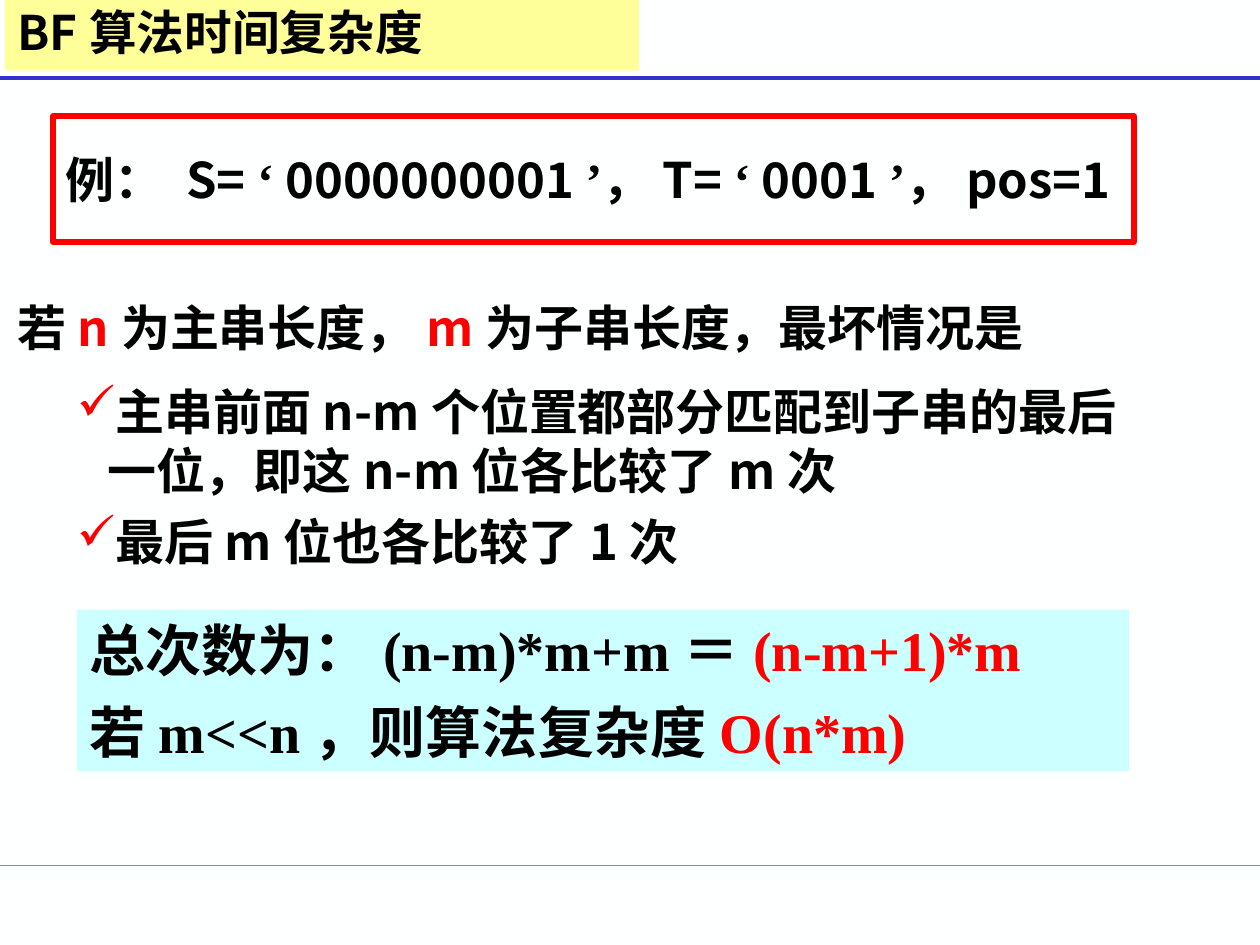
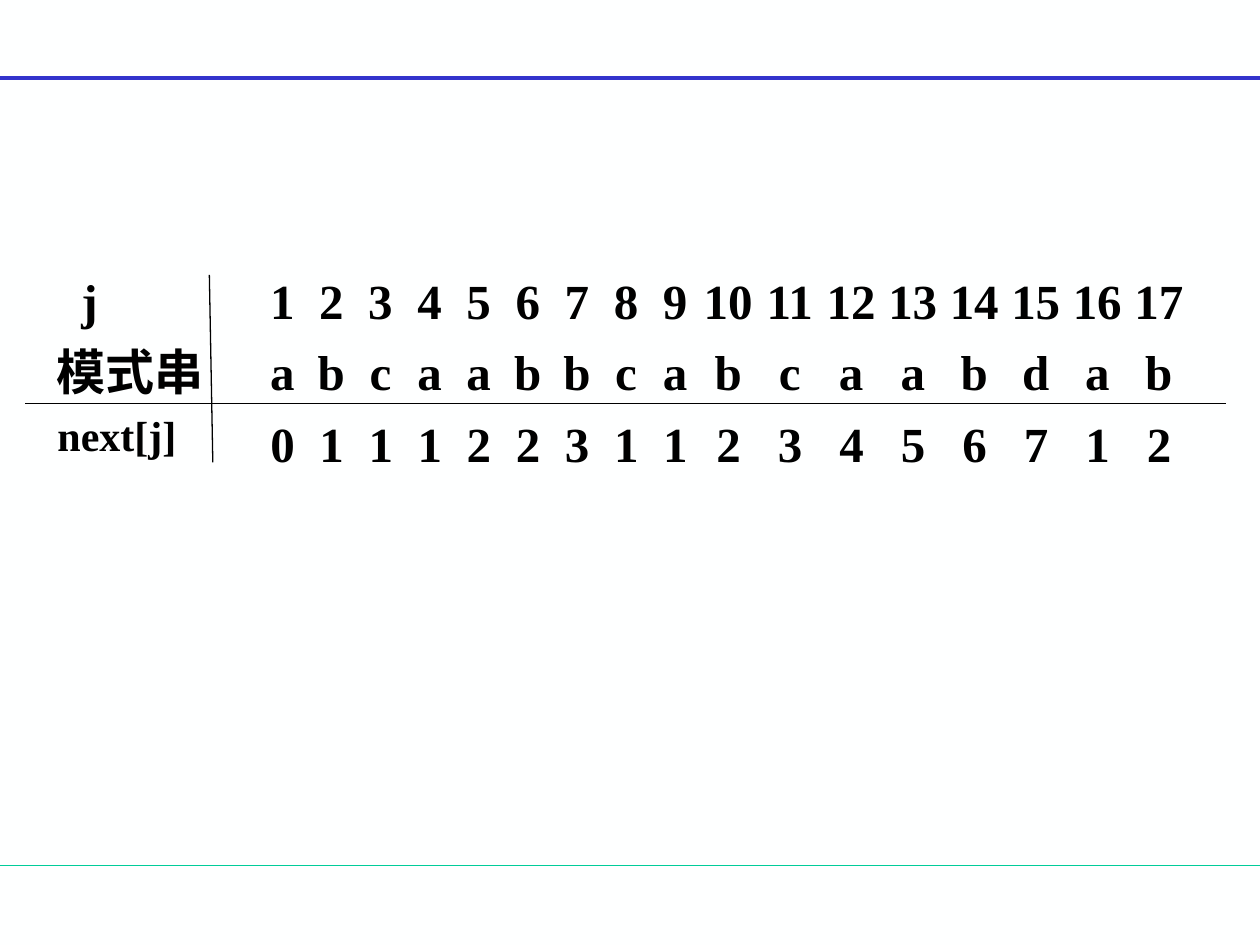
from pptx import Presentation
from pptx.dml.color import RGBColor
from pptx.enum.shapes import MSO_CONNECTOR, MSO_SHAPE
from pptx.enum.text import MSO_ANCHOR, MSO_AUTO_SIZE, PP_ALIGN
from pptx.oxml.ns import qn
from pptx.oxml.xmlchemy import OxmlElement
from pptx.util import Cm, Pt

BLACK, RED, BLUE, GREEN = "000000", "FF0000", "3333CC", "00CC99"
YELLOW, CYAN, PAPER = "FFFF99", "CCFFFF", "FEFFFF"
SANS, SERIF = "Noto Sans CJK SC", "Times New Roman"
WIDTH, HEIGHT = 25.4, 19.05
TITLE_ONLY, BLANK = 5, 6


def rgb(color):
    return RGBColor.from_string(color)


def child(parent, tag, **attrs):
    el = OxmlElement(tag)
    for name, value in attrs.items():
        el.set(name, str(value))
    parent.append(el)
    return el


def red(text):
    return text, RED, None


def serif(text):
    return text, BLACK, SERIF


class Deck:
    """Holds the shared style and the slide being filled."""

    def __init__(self):
        self.prs = Presentation()
        self.prs.slide_width, self.prs.slide_height = Cm(WIDTH), Cm(HEIGHT)
        self.slide = None
        fill = self.prs.slide_master.background.fill
        fill.solid()
        fill.fore_color.rgb = rgb(PAPER)

    def new_slide(self, layout):
        self.slide = self.prs.slides.add_slide(self.prs.slide_layouts[layout])

    def rules(self):
        tree = self.prs.slide_master.shapes.element
        for y, color, weight in ((17.45, GREEN, 0.75), (1.57, BLUE, 2.25)):
            tree.append(self.line(0, y, WIDTH, y, color, weight).element)

    def line(self, x1, y1, x2, y2, color=BLACK, weight=0.75):
        cn = self.slide.shapes.add_connector(
            MSO_CONNECTOR.STRAIGHT, Cm(x1), Cm(y1), Cm(x2), Cm(y2))
        cn.line.color.rgb = rgb(color)
        cn.line.width = Pt(weight)
        child(cn.element.spPr, "a:effectLst")
        return cn

    def title(self, text, x, y, w, h):
        sp = self.slide.shapes.title
        sp.left, sp.top, sp.width, sp.height = Cm(x), Cm(y), Cm(w), Cm(h)
        sp.fill.solid()
        sp.fill.fore_color.rgb = rgb(YELLOW)
        self.put_text(sp, [[text]], 27.2, anchor=MSO_ANCHOR.MIDDLE)
        sp.text_frame.paragraphs[0].line_spacing = 0.9

    def panel(self, x, y, w, h, paragraphs, size, fill=None, line=None, **style):
        sp = self.slide.shapes.add_shape(
            MSO_SHAPE.RECTANGLE, Cm(x), Cm(y), Cm(w), Cm(h))
        sp.shadow.inherit = False
        if fill:
            sp.fill.solid()
            sp.fill.fore_color.rgb = rgb(fill)
        else:
            sp.fill.background()
        if line:
            sp.line.color.rgb = rgb(line)
            sp.line.width = Pt(3)
        else:
            sp.line.fill.background()
        self.put_text(sp, paragraphs, size, **style)

    def text(self, x, y, w, h, paragraphs, size=28, **style):
        sp = self.slide.shapes.add_textbox(Cm(x), Cm(y), Cm(w), Cm(h))
        self.put_text(sp, paragraphs, size, **style)

    def put_text(self, sp, paragraphs, size, font=SANS, anchor=MSO_ANCHOR.TOP,
                 gap=7, bullet=None, tabs=(), inset=True, wrap=True):
        tf = sp.text_frame
        tf.word_wrap, tf.auto_size = wrap, MSO_AUTO_SIZE.NONE
        tf.vertical_anchor = anchor
        if not inset:
            tf.margin_left = tf.margin_right = tf.margin_top = tf.margin_bottom = 0
        for i, runs in enumerate(paragraphs):
            p = tf.add_paragraph() if i else tf.paragraphs[0]
            p.alignment = PP_ALIGN.LEFT
            if i:
                p.space_before = Pt(gap)
            pPr = p._p.get_or_add_pPr()
            if bullet:
                self.bullet(pPr, bullet)
            if tabs:
                tab_list = child(pPr, "a:tabLst")
                for pos, algn in tabs:
                    child(tab_list, "a:tab", pos=Cm(pos), algn=algn)
            p.font.size, p.font.bold = Pt(size), True
            p.font.color.rgb, p.font.name = rgb(BLACK), font
            child(pPr.find(qn("a:defRPr")), "a:ea", typeface=SANS)
            for item in runs:
                r = p.add_run()
                if isinstance(item, str):
                    r.text = item
                    continue
                r.text, color, name = item
                r.font.color.rgb = rgb(color)
                if name:
                    r.font.name = name
                    child(r._r.get_or_add_rPr(), "a:ea", typeface=name)

    def bullet(self, pPr, char):
        pPr.set("marL", str(Cm(0.61)))
        pPr.set("indent", str(-Cm(0.61)))
        child(child(pPr, "a:buClr"), "a:srgbClr", val=RED)
        child(pPr, "a:buChar", char=char)


def complexity_slide(deck):
    deck.new_slide(TITLE_ONLY)
    deck.rules()
    deck.title("BF算法时间复杂度", 0.1, 0, 12.78, 1.42)
    deck.panel(1.07, 2.34, 21.79, 2.54, [[
        "例： S=", serif("‘"), "0000000001", serif("’"), "，T=",
        serif("‘"), "0001", serif("’"), "，pos=1"]],
        28, line=RED, anchor=MSO_ANCHOR.MIDDLE)
    deck.text(0.1, 5.87, 23.42, 1.55, [[
        "若", red("n"), "为主串长度，", red("m"), "为子串长度，最坏情况是"]])
    deck.text(1.3, 7.57, 22.23, 4.06, [
        ["主串前面n-m个位置都部分匹配到子串的最后一位，即这n-m位各比较了m次"],
        ["最后m位也各比较了1次"]], bullet="✓")
    deck.panel(1.55, 12.29, 21.21, 3.25, [
        ["总次数为：(n-m)*m+m＝", red("(n-m+1)*m")],
        ["若m<<n，则算法复杂度", red("O(n*m)")]],
        32, fill=CYAN, font=SERIF, gap=8)


def next_slide(deck):
    deck.new_slide(BLANK)
    pattern, next_values = "abcaabbcabcaabdab", "01112231123456712"
    centers = [5.69 + 0.99 * k for k in range(9)]
    centers += [14.68 + 1.24 * k for k in range(8)]
    left, inset, digit = 0.89, 0.25, 0.48
    tabs = [(0.5, "l")] + [(c - left - inset, "ctr") for c in centers]
    numbers = [str(j) for j in range(1, len(pattern) + 1)]
    deck.text(left, 5.33, 23.6, 3, [
        ["\t".join(["", "j", *numbers])],
        ["\t".join(["模式串", *pattern])]], font=SERIF, tabs=tabs)
    deck.text(0.91, 8.13, 2.9, 1.27, [["next[j]"]], 24, font=SERIF, wrap=False)
    deck.line(0.51, 8.13, 24.71, 8.13)
    deck.line(4.29, 9.32, 4.22, 5.54)
    for center, value in zip(centers, next_values):
        deck.text(center - digit / 2, 8.33, digit, 1.19, [[value]],
                  font=SERIF, inset=False, wrap=False)


def main():
    deck = Deck()
    complexity_slide(deck)
    next_slide(deck)
    deck.prs.save("out.pptx")


if __name__ == "__main__":
    main()
